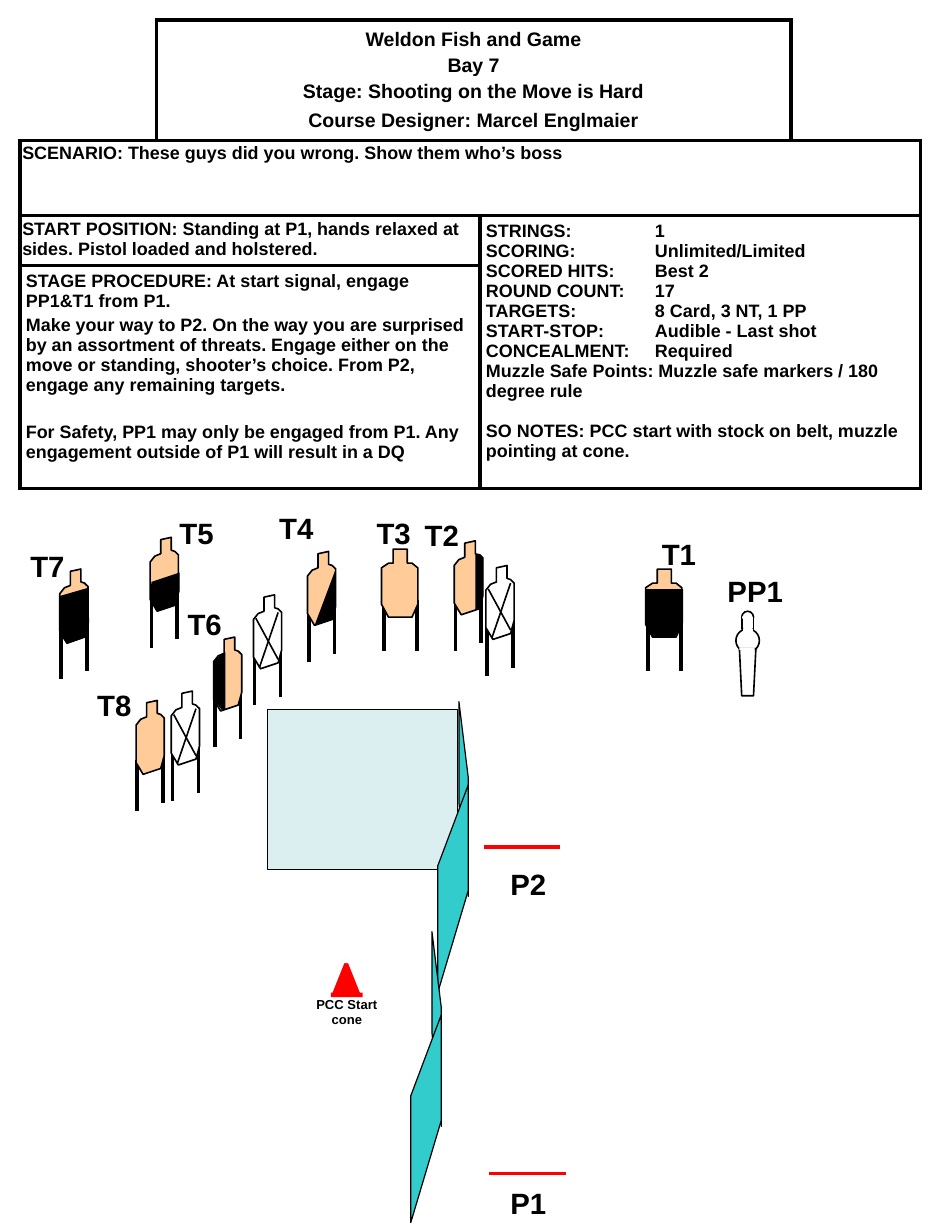
"""Builds the stage sheet: briefing table above the target and wall layout."""
from lxml import etree
from pptx import Presentation
from pptx import util as u
from pptx.dml.color import RGBColor
from pptx.enum import shapes, text
from pptx.oxml.ns import qn

COLORS = {"black": "000000", "white": "FFFFFF", "tan": "FFCC99",
          "red": "FF0000", "teal": "33CCCC", "pale": "BBE0E3"}
COLORS = {name: RGBColor.from_string(code) for name, code in COLORS.items()}
GRID = u.Inches(0.01)


def write(frame, content, size=11, align=None, spacing=None, gaps=None, tab=None):
    frame.word_wrap = True
    for index, line in enumerate(content.split("\n")):
        para = frame.paragraphs[0] if index == 0 else frame.add_paragraph()
        para.alignment = align
        para.line_spacing = spacing
        if gaps and gaps.get(index):
            para.space_before = u.Pt(gaps[index])
        if tab and "\t" in line:
            stops = etree.SubElement(para._p.get_or_add_pPr(), qn("a:tabLst"))
            etree.SubElement(stops, qn("a:tab"), pos=str(tab * GRID), algn="l")
        span = para.add_run()
        span.text = line
        span.font.name, span.font.size, span.font.bold = "Arial", u.Pt(size), True
        span.font.color.rgb = COLORS["black"]


def paint(shape, fill, line, width):
    shape.shadow.inherit = False
    shape.fill.solid()
    shape.fill.fore_color.rgb = COLORS[fill]
    if line:
        shape.line.color.rgb = COLORS[line]
        shape.line.width = u.Pt(width)
    else:
        shape.line.fill.background()


deck = Presentation()
deck.slide_width, deck.slide_height = 800 * GRID, 1050 * GRID
page = deck.slides.add_slide(deck.slide_layouts[6])

# name: (left, top, view, cover outline within the target)
targets = [
    (550, 485, "front", [(0, 17), (32, 17), (32, 46), (25, 58), (6, 58), (0, 47)]),
    (325, 468, "front", None),
    (116, 597, "angled", None),
    (128, 458, "angled", [(0, 54), (6, 63), (21, 58), (25, 46), (25, 30), (1, 38)]),
    (182, 543, "angled", [(0, 53), (7, 62), (10, 61), (10, 13), (7, 14), (0, 21)]),
    (262, 470, "angled", [(6, 63), (21, 58), (24, 47), (24, 15)]),
    (387, 461, "angled", [(25, 47), (23, 56), (18, 59), (18, 11), (22, 11), (25, 14)]),
    (51, 485, "angled", [(0, 55), (6, 64), (20, 59), (25, 46), (24, 16), (0, 23)]),
    (216, 507, "no-shoot", None),
    (146, 589, "no-shoot", None),
    (414, 482, "no-shoot", None),
]
front = [(10, 0), (22, 0), (22, 12), (26, 12), (31, 16), (31, 47),
         (26, 58), (6, 58), (0, 47), (0, 16), (6, 12), (10, 12)]
angled = [(9, 2), (18, 0), (18, 11), (21, 12), (24, 15), (24, 47),
          (21, 58), (6, 63), (0, 53), (0, 21), (4, 16), (9, 14)]
front_legs = [[(2, 43), (2, 87)], [(30, 43), (30, 87)]]
angled_legs = [[(1, 51), (1, 94)], [(23, 44), (23, 87)]]
cross = [[(2, 20), (21, 55)], [(21, 15), (5, 62)]]

outlines = [([(390, 741), (228, 741), (228, 605), (390, 605)], "pale", "black", 0.75)]
for left, top, view, cover in targets:
    parts = [(leg, None, "black", 2.25) for leg in (front_legs if view == "front" else angled_legs)]
    parts.append((front if view == "front" else angled,
                  "white" if view == "no-shoot" else "tan", "black", 1))
    if cover:
        parts.append((cover, "black", None, 0))
    if view == "no-shoot":
        parts += [(stroke, None, "black", 1) for stroke in cross]
    outlines += [([(left + x, top + y) for x, y in points], *style) for points, *style in parts]
for left, top in [(373, 598), (350, 794)]:
    for panel in ([(26, 65), (18, 0), (18, 86), (26, 166)],
                  [(0, 140), (26, 71), (26, 161), (0, 248)]):
        outlines.append(([(left + x, top + y) for x, y in panel], "teal", "black", 0.75))
outlines += [([(left + 65, top), (left, top)], None, "red", 2) for left, top in [(417, 1000), (412, 722)]]

for points, fill, line, width in outlines:
    if len(points) == 2:
        ends = [value * GRID for point in points for value in point]
        stroke = page.shapes.add_connector(shapes.MSO_CONNECTOR.STRAIGHT, *ends)
        stroke.line.color.rgb = COLORS[line]
        stroke.line.width = u.Pt(width)
        etree.SubElement(stroke._element.spPr, qn("a:effectLst"))
        continue
    builder = page.shapes.build_freeform(*points[0], scale=GRID)
    builder.add_line_segments(points[1:], close=True)
    outline = builder.convert_to_shape()
    paint(outline, fill, line, width)
    if fill == "pale":
        color = outline._element.spPr.find(qn("a:solidFill"))[0]
        etree.SubElement(color, qn("a:alpha"), val="50000")

kinds = shapes.MSO_SHAPE
for kind, place, fill, line in [
    (kinds.ISOSCELES_TRIANGLE, (283, 817, 24, 30), "red", None),
    (kinds.RECTANGLE, (289, 817, 12, 4), "white", None),
    (kinds.RECTANGLE, (282, 846, 27, 4), "red", None),
    (kinds.OVAL, (632, 521, 10, 10), "white", "black"),
    (kinds.OVAL, (627, 536, 20, 20), "white", "black"),
    (None, [(630, 553), (644, 553), (642, 593), (632, 593)], "white", "black"),
    (kinds.RECTANGLE, (632, 526, 10, 10), "white", "black"),
    (kinds.RECTANGLE, (630, 552, 13, 2), "white", None),
    (kinds.RECTANGLE, (634, 536, 7, 2), "white", "white"),
    (kinds.RECTANGLE, (633, 526, 8, 1), "white", "white"),
]:
    if kind is None:
        builder = page.shapes.build_freeform(*place[0], scale=GRID)
        builder.add_line_segments(place[1:], close=True)
        part = builder.convert_to_shape()
    else:
        part = page.shapes.add_shape(kind, *[value * GRID for value in place])
    paint(part, fill, line, 1)

for label, left, top, width in [
    ("P1", 425, 1005, 58), ("P2", 425, 733, 64), ("PP1", 610, 484, 73),
    ("T1", 554, 452, 58), ("T2", 352, 436, 58), ("T3", 311, 434, 58),
    ("T4", 228, 430, 58), ("T5", 143, 434, 58), ("T6", 150, 512, 58),
    ("T7", 16, 462, 58), ("T8", 73, 581, 58),
]:
    box = page.shapes.add_textbox(left * GRID, top * GRID, width * GRID, 40 * GRID)
    write(box.text_frame, label, size=18)
box = page.shapes.add_textbox(258 * GRID, 844 * GRID, 75 * GRID, 37 * GRID)
write(box.text_frame, "PCC Start cone", size=8, align=text.PP_ALIGN.CENTER)

columns, rows = [116, 276, 265, 110], [100, 64, 42, 190]
table = page.shapes.add_table(4, 4, 17 * GRID, 17 * GRID, sum(columns) * GRID, sum(rows) * GRID).table
table.first_row = table.horz_banding = False
for column, width in zip(table.columns, columns):
    column.width = width * GRID
for row, height in zip(table.rows, rows):
    row.height = height * GRID

for first, last, inset, content, style in [
    ((0, 1), (0, 2), (5, 5),
     "Weldon Fish and Game\nBay 7\nStage: Shooting on the Move is Hard\n"
     "Course Designer: Marcel Englmaier",
     {"size": 12, "align": text.PP_ALIGN.CENTER, "gaps": {1: 2.4, 2: 2.4, 3: 4.2}}),
    ((1, 0), (1, 3), (2, 4),
     "SCENARIO: These guys did you wrong. Show them who’s boss", {"spacing": 0.9}),
    ((2, 0), (2, 1), (2, 3),
     "START POSITION: Standing at P1, hands relaxed at sides. Pistol loaded and holstered.", {}),
    ((2, 2), (3, 3), (5, 5),
     "STRINGS:\t1\nSCORING:\tUnlimited/Limited\nSCORED HITS:\tBest 2\n"
     "ROUND COUNT:\t17\nTARGETS:\t8 Card, 3 NT, 1 PP\n"
     "START-STOP:\tAudible - Last shot\nCONCEALMENT:\tRequired\n"
     "Muzzle Safe Points: Muzzle safe markers / 180 degree rule\n"
     "SO NOTES: PCC start with stock on belt, muzzle pointing at cone.",
     {"tab": 144, "gaps": {8: 12.3}}),
    ((3, 0), (3, 1), (5, 5),
     "STAGE PROCEDURE: At start signal, engage PP1&T1 from P1.\n"
     "Make your way to P2. On the way you are surprised by an assortment of threats. "
     "Engage either on the move or standing, shooter’s choice. "
     "From P2, engage any remaining targets.\n"
     "For Safety, PP1 may only be engaged from P1. "
     "Any engagement outside of P1 will result in a DQ",
     {"gaps": {1: 2.4, 2: 17}}),
]:
    cell = table.cell(*first)
    cell.merge(table.cell(*last))
    cell.margin_left = cell.margin_right = inset[0] * GRID
    cell.margin_top = cell.margin_bottom = inset[1] * GRID
    write(cell.text_frame, content, **style)
table.cell(0, 1).vertical_anchor = text.MSO_ANCHOR.MIDDLE

for row in range(4):
    for column in range(4):
        cell = table.cell(row, column)
        cell.fill.solid()
        cell.fill.fore_color.rgb = COLORS["white"]
        sides = {(0, 0): "RB", (0, 3): "LB"}.get((row, column), "LRTB")
        for index, side in enumerate("LRTB"):
            edge = etree.Element(qn("a:ln" + side), w=str(u.Pt(2.25)))
            if side in sides:
                ink = etree.SubElement(edge, qn("a:solidFill"))
                etree.SubElement(ink, qn("a:srgbClr"), val=str(COLORS["black"]))
            else:
                etree.SubElement(edge, qn("a:noFill"))
            cell._tc.get_or_add_tcPr().insert(index, edge)

deck.save("out.pptx")
